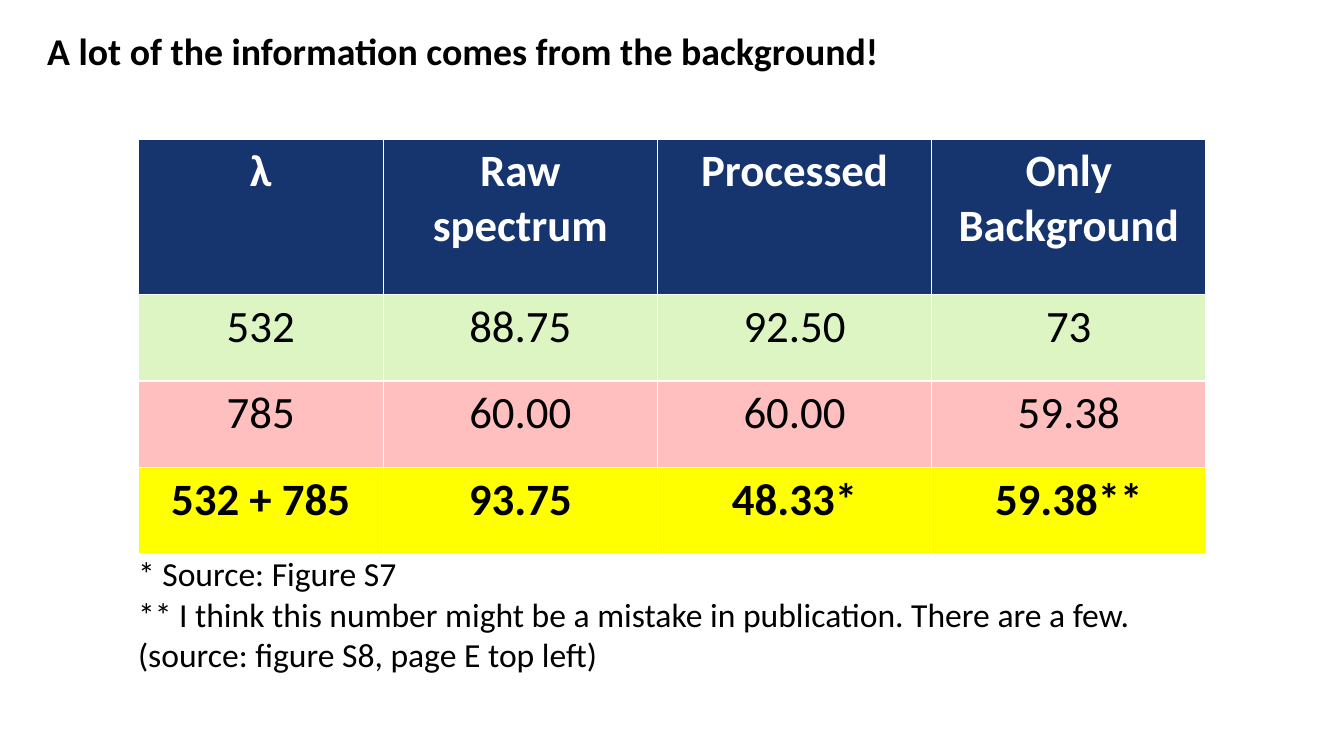
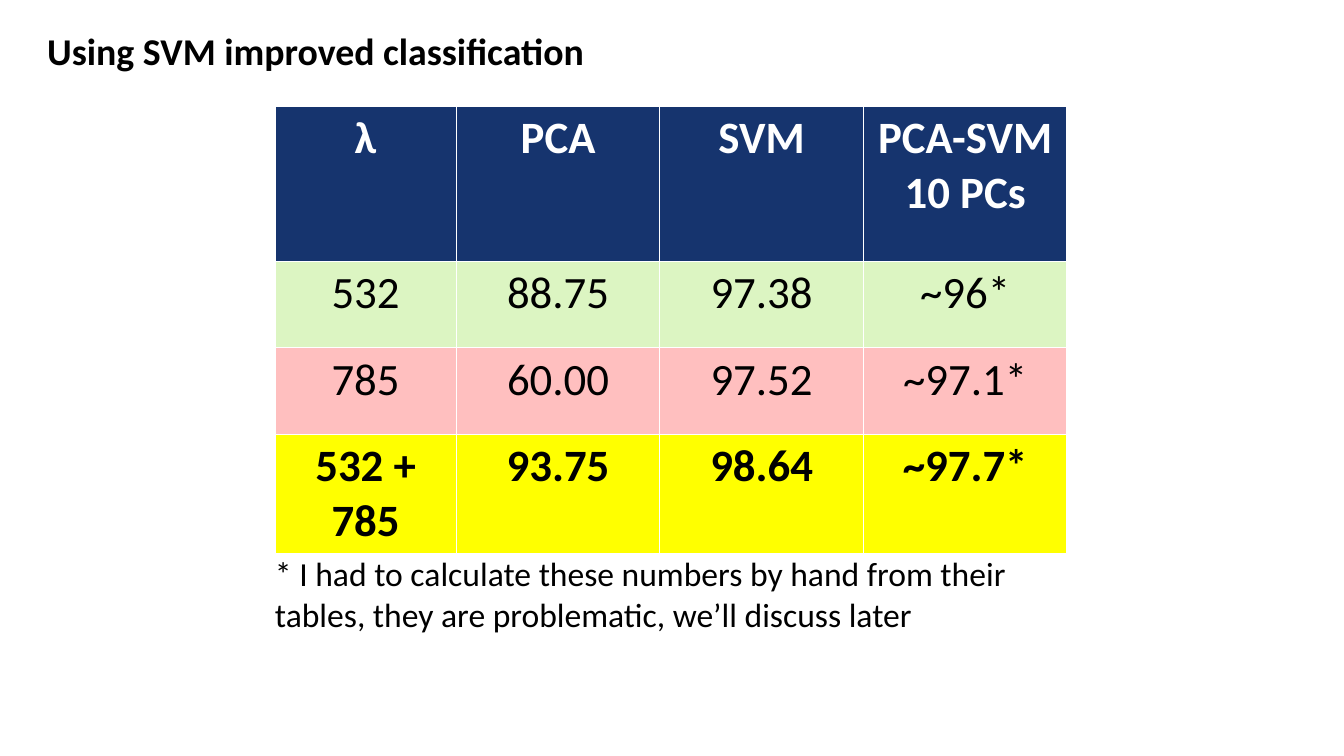
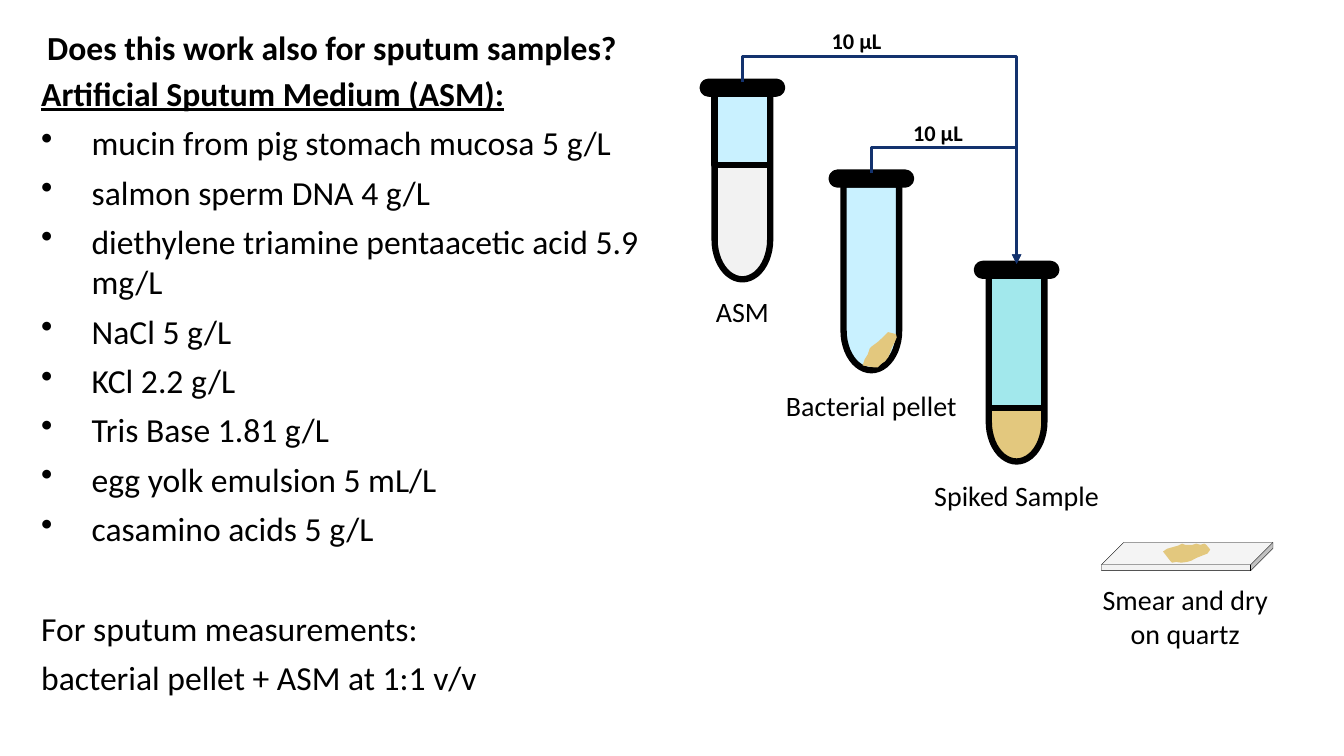
import math

import pptx
import pptx.dml.color
import pptx.enum.shapes
import pptx.enum.text
import pptx.oxml
import pptx.oxml.ns
import pptx.util
from lxml import etree

Cm = pptx.util.Cm
Pt = pptx.util.Pt
RGBColor = pptx.dml.color.RGBColor
SHAPE = pptx.enum.shapes.MSO_SHAPE
ALIGN = pptx.enum.text.PP_ALIGN
qn = pptx.oxml.ns.qn

FONT = "Calibri"
BLACK = RGBColor(0x00, 0x00, 0x00)
WHITE = RGBColor(0xFF, 0xFF, 0xFF)
NAVY = RGBColor(0x16, 0x34, 0x6E)
ARROW_BLUE = RGBColor(0x13, 0x32, 0x6E)
GREEN = RGBColor(0xDC, 0xF5, 0xC2)
PINK = RGBColor(0xFF, 0xBF, 0xBF)
YELLOW = RGBColor(0xFF, 0xFF, 0x00)
GREY = RGBColor(0xF2, 0xF2, 0xF2)
PALE_BLUE = RGBColor(0xC9, 0xF1, 0xFF)
TEAL = RGBColor(0xA2, 0xE8, 0xEC)
SAND = RGBColor(0xE3, 0xC8, 0x7E)

# Fill, text colour and weight of each table row
ROW_STYLES = [(NAVY, WHITE, True), (GREEN, BLACK, False), (PINK, BLACK, False), (YELLOW, BLACK, True)]
ROW_HEIGHTS = [3.91, 2.18, 2.18, 2.18]

CAP_WIDTH, CAP_HEIGHT = 2.0, 0.3
TUBE_WIDTH, TUBE_HEIGHT, TUBE_ROUNDING = 1.4, 4.98, 1.0
LABEL_WIDTH = 5

PELLET = [(0.84, 0.05), (0.64, 0), (0.51, 0.13), (0.38, 0.25), (0.23, 0.36), (0.18, 0.41),
          (0.13, 0.56), (0.05, 0.69), (0, 0.84), (0.3, 0.89), (0.38, 0.89), (0.43, 0.84),
          (0.48, 0.79), (0.56, 0.74), (0.64, 0.64), (0.69, 0.53), (0.74, 0.38), (0.81, 0.25),
          (0.86, 0.13)]
SMEAR = [(1.19, 0.15), (1.09, 0.03), (1.04, 0), (0.94, 0.03), (0.84, 0), (0.74, 0.03),
         (0.56, 0.03), (0.48, 0), (0.38, 0.05), (0.2, 0.1), (0.1, 0.13), (0, 0.2),
         (0.18, 0.43), (0.23, 0.48), (0.33, 0.46), (0.46, 0.48), (0.61, 0.46), (0.71, 0.43),
         (0.84, 0.36), (0.99, 0.3), (1.12, 0.25)]

INGREDIENTS = [
    "mucin from pig stomach mucosa 5 g/L",
    "salmon sperm DNA 4 g/L",
    "diethylene triamine pentaacetic acid 5.9 mg/L",
    "NaCl 5 g/L",
    "KCl 2.2 g/L",
    "Tris Base 1.81 g/L",
    "egg yolk emulsion 5 mL/L",
    "casamino acids 5 g/L",
]


def style_font(paragraph, **changes):
    values = {"name": FONT, "size": Pt(24), "bold": False, "color": BLACK, **changes}
    color = values.pop("color")
    for name, value in values.items():
        setattr(paragraph.font, name, value)
    paragraph.font.color.rgb = color


def fill_frame(frame, lines, align=ALIGN.LEFT, **font):
    """Write lines as paragraphs in a frame without insets."""
    settings = {"margin_left": 0, "margin_top": 0, "margin_right": 0, "margin_bottom": 0,
                "word_wrap": True, "vertical_anchor": pptx.enum.text.MSO_ANCHOR.TOP}
    for name, value in settings.items():
        setattr(frame, name, value)
    frame.text = "\n".join(lines)
    for paragraph in frame.paragraphs:
        paragraph.alignment = align
        style_font(paragraph, **font)


def add_text(page, left, top, width, height, lines, **style):
    box = page.shapes.add_textbox(Cm(left), Cm(top), Cm(width), Cm(height))
    fill_frame(box.text_frame, lines, **style)
    return box


def add_page(deck, title, size=27):
    page = deck.slides.add_slide(deck.slide_layouts[5])
    heading = page.shapes.title
    places = {"left": 1.19, "top": 0.69, "width": 30.89, "height": 1.14}
    for name, value in places.items():
        setattr(heading, name, Cm(value))
    fill_frame(heading.text_frame, [title], size=Pt(size), bold=True)
    return page


def results_page(deck, title, left, top, widths, rows, notes):
    page = add_page(deck, title)
    total = sum(widths)
    frame = page.shapes.add_table(len(rows), len(widths), Cm(left), Cm(top),
                                  Cm(total), Cm(sum(ROW_HEIGHTS)))
    table = frame.table
    table.horz_banding = False
    for column, width in zip(table.columns, widths):
        column.width = Cm(width)
    for row, height, texts, (fill, color, bold) in zip(table.rows, ROW_HEIGHTS, rows, ROW_STYLES):
        row.height = Cm(height)
        for cell, text in zip(row.cells, texts):
            cell.fill.solid()
            cell.fill.fore_color.rgb = fill
            cell.text = text
            for paragraph in cell.text_frame.paragraphs:
                paragraph.alignment = ALIGN.CENTER
                style_font(paragraph, size=Pt(32), bold=bold, color=color)
    add_text(page, left, 13.94, total, 2.06, notes)


def paint(shape, fill, line=4.5):
    """Give a shape a flat fill and a black outline, or none if line is 0."""
    shape.shadow.inherit = False
    shape.fill.solid()
    shape.fill.fore_color.rgb = fill
    if line:
        shape.line.color.rgb = BLACK
        shape.line.width = Pt(line)
    else:
        shape.line.fill.background()


def add_preset(page, kind, left, top, width, height, fill, line=4.5, adjust=None):
    shape = page.shapes.add_shape(kind, Cm(left), Cm(top), Cm(width), Cm(height))
    if adjust is not None:
        shape.adjustments[0] = adjust
    paint(shape, fill, line)


def add_outline(page, left, top, points, fill, line=4.5):
    """Draw a closed outline whose points are relative to left and top."""
    corners = [(Cm(left + x), Cm(top + y)) for x, y in points]
    builder = page.shapes.build_freeform(*corners[0])
    builder.add_line_segments(corners[1:], close=True)
    paint(builder.convert_to_shape(), fill, line)


def add_tube(page, left, top, label, contents, upper=None, upper_height=0, label_drop=5.35):
    """Draw a capped tube from the top left of its cap, with an optional upper layer."""
    inner_left, inner_top = left + (CAP_WIDTH - TUBE_WIDTH) / 2, top + CAP_HEIGHT
    radius = TUBE_WIDTH / 2
    straight = TUBE_HEIGHT - CAP_HEIGHT - TUBE_ROUNDING
    angles = [math.pi * step / 24 for step in range(25)]
    curve = [(radius + radius * math.cos(angle), straight + TUBE_ROUNDING * math.sin(angle))
             for angle in angles]
    add_outline(page, inner_left, inner_top, [(0, 0), (TUBE_WIDTH, 0)] + curve, contents)
    if upper is not None:
        add_preset(page, SHAPE.RECTANGLE, inner_left, inner_top, TUBE_WIDTH, upper_height, upper)
    add_preset(page, SHAPE.ROUNDED_RECTANGLE, left, top, CAP_WIDTH, CAP_HEIGHT, BLACK, adjust=0.5)
    add_text(page, left + (CAP_WIDTH - LABEL_WIDTH) / 2, top + label_drop, LABEL_WIDTH, 0.86,
             [label], align=ALIGN.CENTER, size=Pt(20))


def add_transfer(page, start, end, rise):
    """Draw an elbow arrow that goes up by rise, across, and down to its end."""
    (start_x, start_y), (end_x, end_y) = start, end
    middle_x, middle_y = (start_x + end_x) / 2, (start_y + end_y) / 2
    half_span, half_drop = (end_x - start_x) / 2, (end_y - start_y) / 2
    # The elbow is laid out sideways, then turned by 270 degrees
    arrow = page.shapes.add_connector(
        pptx.enum.shapes.MSO_CONNECTOR.ELBOW,
        Cm(middle_x + half_drop), Cm(middle_y - half_span),
        Cm(middle_x - half_drop), Cm(middle_y + half_span))
    arrow.line.color.rgb = ARROW_BLUE
    arrow.line.width = Pt(2.25)
    properties = arrow._element.spPr
    properties.find(qn("a:xfrm")).set("rot", "16200000")
    geometry = properties.find(qn("a:prstGeom"))
    guides = geometry.find(qn("a:avLst"))
    if guides is None:
        guides = etree.SubElement(geometry, qn("a:avLst"))
    share = round(-rise / (2 * half_drop) * 100000)
    etree.SubElement(guides, qn("a:gd"), name="adj1", fmla=f"val {share}")
    etree.SubElement(properties.find(qn("a:ln")), qn("a:tailEnd"), type="triangle")
    etree.SubElement(properties, qn("a:effectLst"))


def add_recipe(page, left, top, width, height):
    lines = ["Artificial Sputum Medium (ASM):", *INGREDIENTS,
             "For sputum measurements:", "bacterial pellet + ASM at 1:1 v/v"]
    box = add_text(page, left, top, width, height, lines)
    heading, *others = box.text_frame.paragraphs
    heading.font.bold = heading.font.underline = True
    for paragraph in others:
        paragraph.space_before = Pt(6.5)
    for paragraph in others[:len(INGREDIENTS)]:
        properties = paragraph._p.get_or_add_pPr()
        properties.set("marL", str(Cm(1.27)))
        properties.set("indent", str(-Cm(1.27)))
        bullet = pptx.oxml.parse_xml(
            f'<a:buChar {pptx.oxml.ns.nsdecls("a")} char="•"/>')
        properties.find(qn("a:defRPr")).addprevious(bullet)
    others[len(INGREDIENTS)].space_before = Pt(42.3)


def add_quartz_slide(page, left, top):
    add_preset(page, SHAPE.CUBE, left, top, 4.32, 0.71, GREY, line=0.25, adjust=0.79)
    add_outline(page, left + 1.55, top + 0.03, SMEAR, SAND, line=0)
    add_text(page, left, top + 1.02, 4.22, 1.7, ["Smear and dry", "on quartz"],
             align=ALIGN.CENTER, size=Pt(20))


def sputum_page(deck):
    page = add_page(deck, "Does this work also for sputum samples?", size=24)
    add_recipe(page, 1.04, 1.83, 15.7, 15.7)

    asm, pellet, spiked = (17.71, 2.06), (20.96, 4.35), (24.62, 6.65)
    add_tube(page, *asm, "ASM", GREY, PALE_BLUE, 1.8)
    add_tube(page, *pellet, "Bacterial pellet", PALE_BLUE, label_drop=5.45)
    add_outline(page, pellet[0] + 0.78, pellet[1] + 4.02, PELLET, SAND, line=0)
    add_tube(page, *spiked, "Spiked Sample", SAND, TEAL, 3.33, label_drop=5.4)
    add_quartz_slide(page, 27.76, 13.67)

    target = (spiked[0] + CAP_WIDTH / 2, spiked[1])
    for left, top in (pellet, asm):
        add_transfer(page, (left + CAP_WIDTH / 2, top), target, 0.64)
    for left, top in ((20.96, 0.69), (23.01, 3.0)):
        add_text(page, left, top, 1.6, 0.69, ["10 µL"], size=Pt(16), bold=True)


def main():
    deck = pptx.Presentation()
    deck.slide_width, deck.slide_height = Cm(33.87), Cm(19.05)
    results_page(
        deck, "A lot of the information comes from the background!",
        3.48, 3.51, [6.18, 6.91, 6.91, 6.91],
        [["λ", "Raw spectrum", "Processed", "Only Background"],
         ["532", "88.75", "92.50", "73"],
         ["785", "60.00", "60.00", "59.38"],
         ["532 + 785", "93.75", "48.33*", "59.38**"]],
        ["* Source: Figure S7",
         "** I think this number might be a mistake in publication. There are a few. "
         "(source: figure S8, page E top left)"])
    results_page(
        deck, "Using SVM improved classification",
        6.93, 2.67, [4.57, 5.13, 5.13, 5.13],
        [["λ", "PCA", "SVM", "PCA-SVM\n10 PCs"],
         ["532", "88.75", "97.38", "~96*"],
         ["785", "60.00", "97.52", "~97.1*"],
         ["532 + 785", "93.75", "98.64", "~97.7*"]],
        ["* I had to calculate these numbers by hand from their tables, "
         "they are problematic, we’ll discuss later"])
    sputum_page(deck)
    deck.save("out.pptx")


if __name__ == "__main__":
    main()
